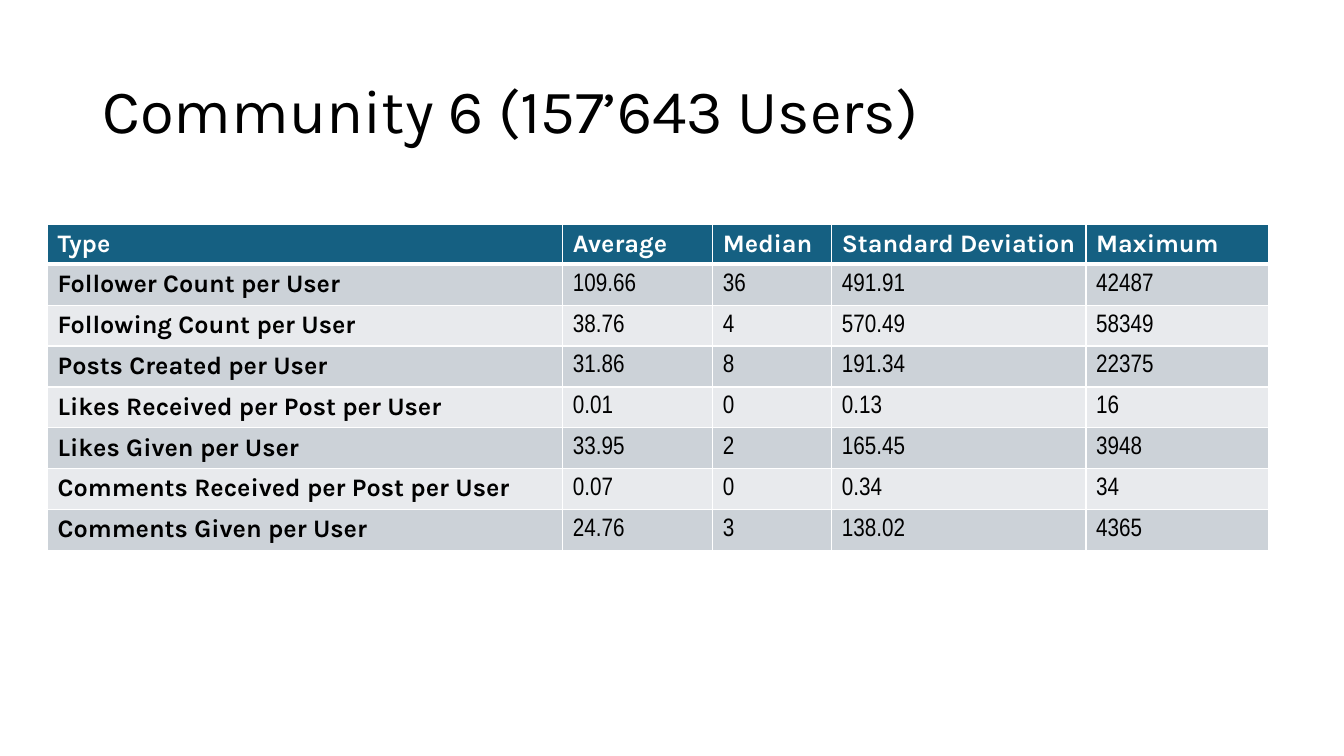
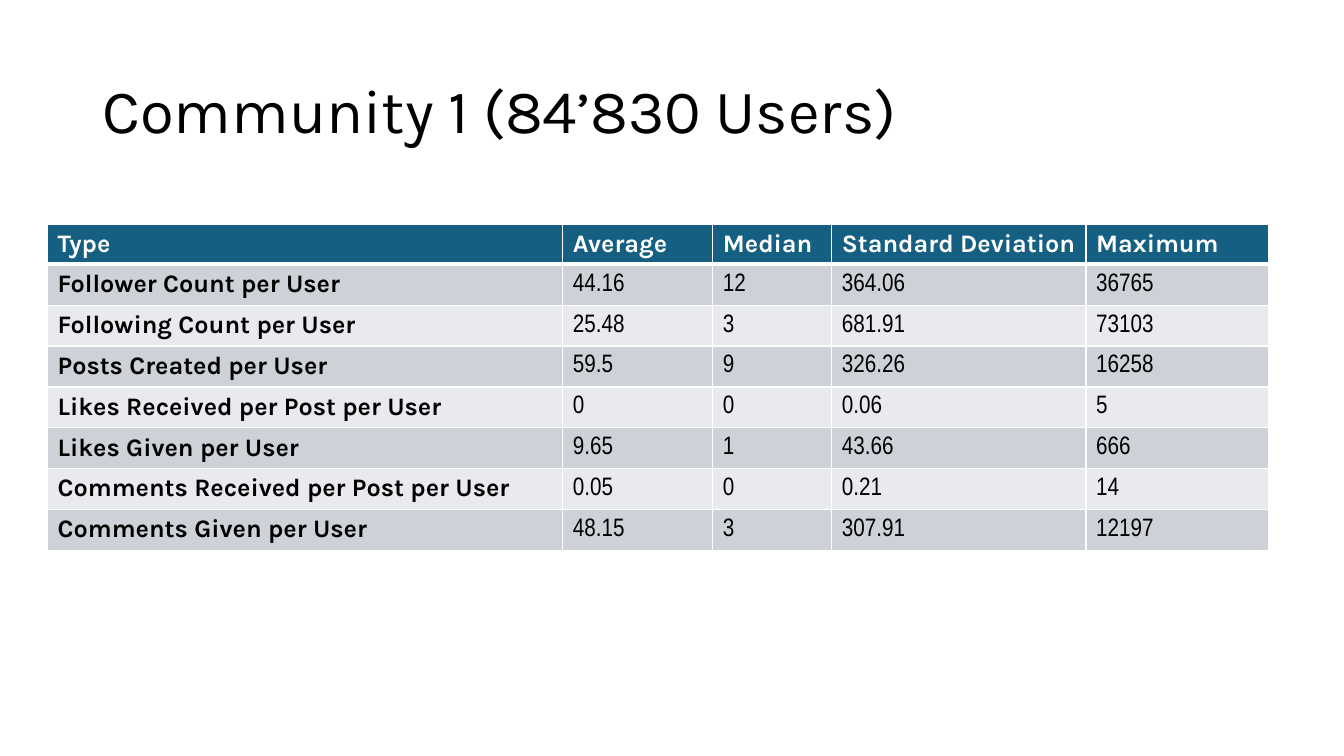
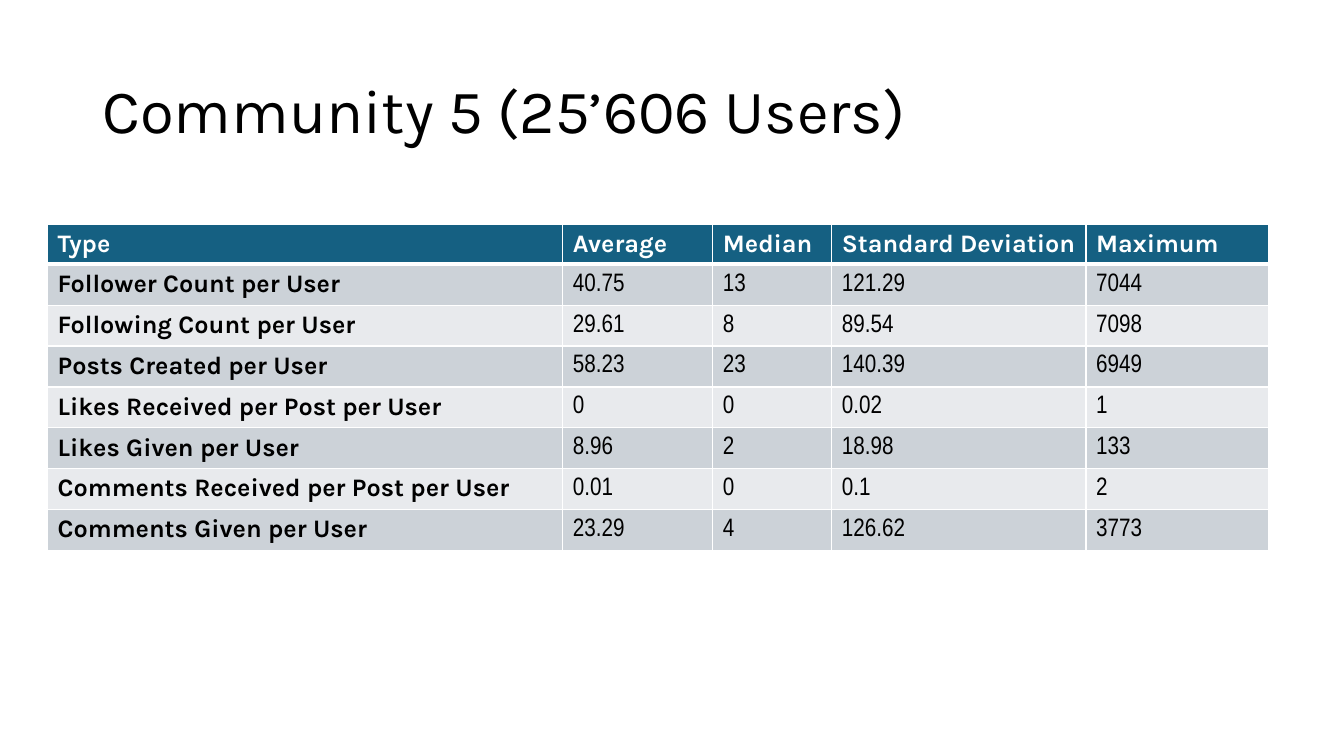
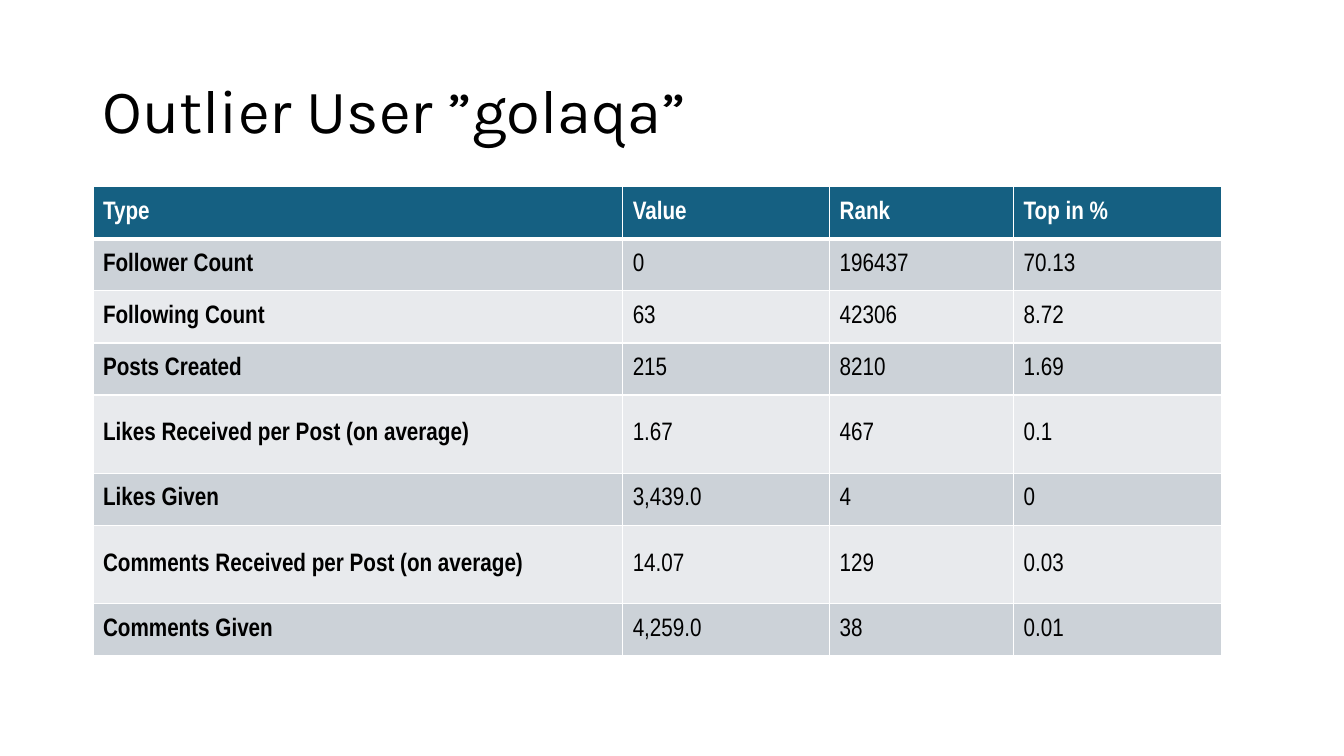
from dataclasses import dataclass

from lxml.etree import SubElement
from pptx import Presentation
from pptx.dml.color import RGBColor as RGB
from pptx.enum.text import MSO_ANCHOR as Anchor
from pptx.oxml.ns import qn
from pptx.util import Pt


@dataclass(frozen=True)
class Theme:
    text: str = "000000"
    inverse: str = "FFFFFF"
    header: str = "156082"
    bands: tuple = ("CCD2D8", "E8EAED")
    rule: str = "FFFFFF"
    rule_width: float = 1
    header_rule_width: float = 3
    title_font: str = "Karla"
    value_font: str = "Arial Narrow"
    title_size: float = 44
    table_size: float = 18


@dataclass(frozen=True)
class TableStyle:
    left: float
    top: float
    columns: tuple
    rows: tuple
    label_font: str
    label_anchor: Anchor


THEME = Theme()
BLANK_LAYOUT = 6

COMMUNITY_STYLE = TableStyle(
    34, 160, (368, 107.2, 85, 181.6, 130.2), (28.3,) + (29.2,) * 7,
    THEME.title_font, Anchor.TOP)
OUTLIER_STYLE = TableStyle(
    66.4, 133.4, (378.4, 147.8, 131.4, 148.6), (37.2,) * 4 + (56, 37.2) * 2,
    THEME.value_font, Anchor.MIDDLE)

COMMUNITY_HEADER = ("Type", "Average", "Median", "Standard Deviation", "Maximum")
COMMUNITY_MEASURES = (
    "Follower Count per User",
    "Following Count per User",
    "Posts Created per User",
    "Likes Received per Post per User",
    "Likes Given per User",
    "Comments Received per Post per User",
    "Comments Given per User",
)
COMMUNITIES = {
    "Community 6 (157’643 Users)": (
        ("109.66", "36", "491.91", "42487"),
        ("38.76", "4", "570.49", "58349"),
        ("31.86", "8", "191.34", "22375"),
        ("0.01", "0", "0.13", "16"),
        ("33.95", "2", "165.45", "3948"),
        ("0.07", "0", "0.34", "34"),
        ("24.76", "3", "138.02", "4365"),
    ),
    "Community 1 (84’830 Users)": (
        ("44.16", "12", "364.06", "36765"),
        ("25.48", "3", "681.91", "73103"),
        ("59.5", "9", "326.26", "16258"),
        ("0", "0", "0.06", "5"),
        ("9.65", "1", "43.66", "666"),
        ("0.05", "0", "0.21", "14"),
        ("48.15", "3", "307.91", "12197"),
    ),
    "Community 5 (25’606 Users)": (
        ("40.75", "13", "121.29", "7044"),
        ("29.61", "8", "89.54", "7098"),
        ("58.23", "23", "140.39", "6949"),
        ("0", "0", "0.02", "1"),
        ("8.96", "2", "18.98", "133"),
        ("0.01", "0", "0.1", "2"),
        ("23.29", "4", "126.62", "3773"),
    ),
}
OUTLIER_TITLE = "Outlier User ”golaqa”"
OUTLIER_ROWS = (
    ("Type", "Value", "Rank", "Top in %"),
    ("Follower Count", "0", "196437", "70.13"),
    ("Following Count", "63", "42306", "8.72"),
    ("Posts Created", "215", "8210", "1.69"),
    ("Likes Received per Post (on average)", "1.67", "467", "0.1"),
    ("Likes Given", "3,439.0", "4", "0"),
    ("Comments Received per Post (on average)", "14.07", "129", "0.03"),
    ("Comments Given", "4,259.0", "38", "0.01"),
)


def format_text(frame, font_name, size, color, bold=False):
    for paragraph in frame.paragraphs:
        for run in paragraph.runs:
            run.font.name = font_name
            run.font.size = Pt(size)
            run.font.bold = bold
            run.font.color.rgb = RGB.from_string(color)


def add_title(slide, title):
    frame = slide.shapes.add_textbox(Pt(66.2), Pt(28.8), Pt(828), Pt(104.4)).text_frame
    frame.word_wrap = True
    frame.vertical_anchor = Anchor.MIDDLE
    frame.text = title
    frame.paragraphs[0].line_spacing = 0.9
    format_text(frame, THEME.title_font, THEME.title_size, THEME.text)


def set_borders(cell, row):
    """Rule the cell on all sides, thicker between header and body.

    Must run before the cell is filled, since the lines precede the fill in XML.
    """
    properties = cell._tc.get_or_add_tcPr()
    thick_side = {0: "lnB", 1: "lnT"}.get(row)
    for side in ("lnL", "lnR", "lnT", "lnB"):
        width = THEME.header_rule_width if side == thick_side else THEME.rule_width
        line = SubElement(properties, qn(f"a:{side}"), w=str(Pt(width)))
        fill = SubElement(line, qn("a:solidFill"))
        SubElement(fill, qn("a:srgbClr"), val=THEME.rule)


def style_cell(cell, row, column, style):
    is_header = row == 0
    is_label = is_header or column == 0
    set_borders(cell, row)
    cell.fill.solid()
    background = THEME.header if is_header else THEME.bands[(row - 1) % 2]
    cell.fill.fore_color.rgb = RGB.from_string(background)
    cell.vertical_anchor = style.label_anchor if is_label else Anchor.MIDDLE
    format_text(
        cell.text_frame,
        style.label_font if is_label else THEME.value_font,
        THEME.table_size,
        THEME.inverse if is_header else THEME.text,
        bold=is_label)


def add_statistics(slide, rows, style):
    table = slide.shapes.add_table(
        len(rows), len(style.columns), Pt(style.left), Pt(style.top),
        Pt(sum(style.columns)), Pt(sum(style.rows))).table
    for column, width in zip(table.columns, style.columns):
        column.width = Pt(width)
    for table_row, height in zip(table.rows, style.rows):
        table_row.height = Pt(height)
    for row, entries in enumerate(rows):
        for column, entry in enumerate(entries):
            cell = table.cell(row, column)
            cell.text_frame.text = entry
            style_cell(cell, row, column, style)


def add_statistics_slide(deck, title, rows, style):
    slide = deck.slides.add_slide(deck.slide_layouts[BLANK_LAYOUT])
    add_title(slide, title)
    add_statistics(slide, rows, style)


def main():
    deck = Presentation()
    deck.slide_width, deck.slide_height = Pt(960), Pt(540)
    for title, values in COMMUNITIES.items():
        body = [(measure, *figures)
                for measure, figures in zip(COMMUNITY_MEASURES, values)]
        add_statistics_slide(deck, title, [COMMUNITY_HEADER, *body], COMMUNITY_STYLE)
    add_statistics_slide(deck, OUTLIER_TITLE, OUTLIER_ROWS, OUTLIER_STYLE)
    deck.save("out.pptx")


if __name__ == "__main__":
    main()
